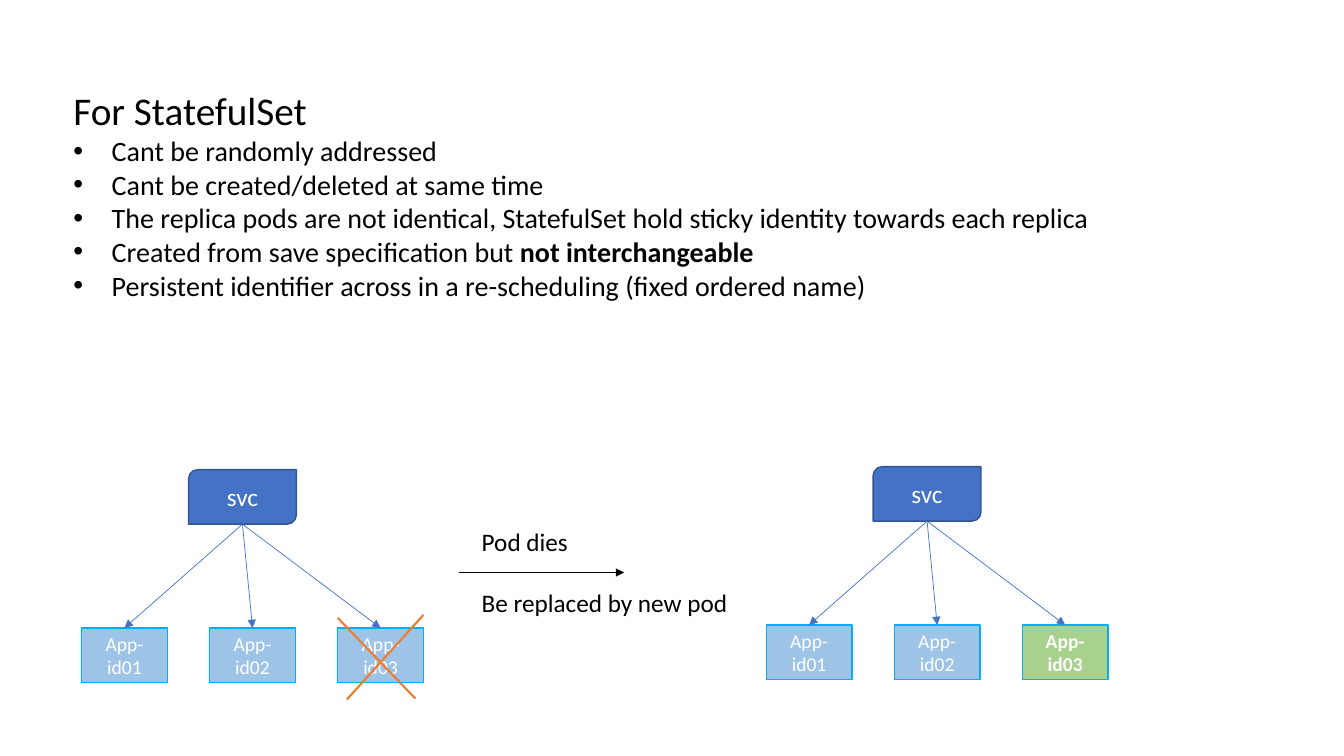
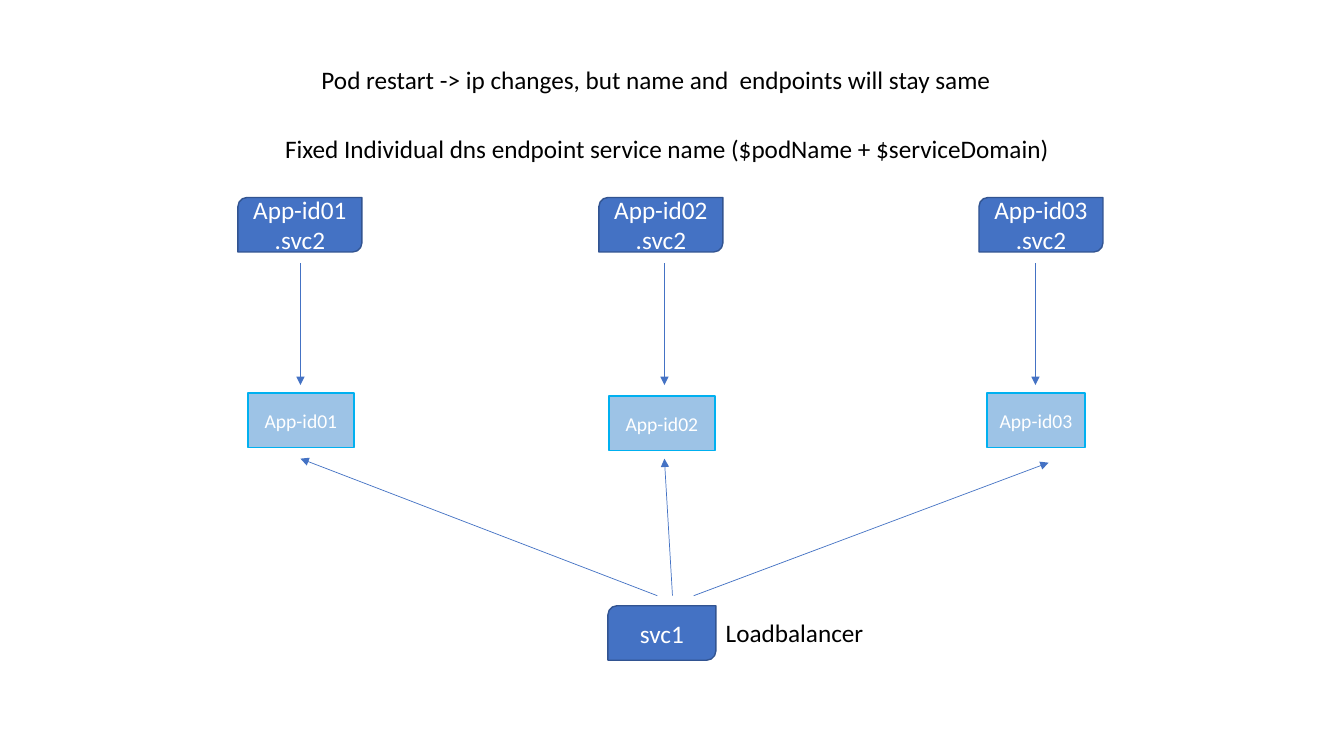
"""Build two slides on how StatefulSet pods keep their identity."""
from lxml.etree import SubElement
from pptx import Presentation
from pptx.dml.color import RGBColor
from pptx.enum.shapes import MSO_CONNECTOR as Connector, MSO_SHAPE as Shape
from pptx.enum.text import MSO_ANCHOR as Anchor, PP_ALIGN as Align
from pptx.oxml.ns import qn
from pptx.util import Inches, Pt

FONT = "Calibri"
BLACK = RGBColor(0x00, 0x00, 0x00)
WHITE = RGBColor(0xFF, 0xFF, 0xFF)
BLUE = RGBColor(0x44, 0x72, 0xC4)
DARK_BLUE = RGBColor(0x32, 0x54, 0x91)
LIGHT_BLUE = RGBColor(0x9D, 0xC3, 0xE6)
CYAN = RGBColor(0x00, 0xB0, 0xF0)
GREEN = RGBColor(0xA9, 0xD1, 0x8E)
ORANGE = RGBColor(0xED, 0x7D, 0x31)

BOX_HEIGHT = 0.54
SERVICE = dict(shape=Shape.ROUND_2_DIAG_RECTANGLE, fill=BLUE, outline=DARK_BLUE)
POD = dict(shape=Shape.RECTANGLE, fill=LIGHT_BLUE, outline=CYAN, size=14)


def add_text(page, text, left, top, width, height=BOX_HEIGHT, shape=None,
             fill=None, outline=None, size=18, bold=None, wrap=True):
    place = [Inches(value) for value in (left, top, width, height)]
    if shape is None:
        box = page.shapes.add_textbox(*place)
    else:
        box = page.shapes.add_shape(shape, *place)
        box.shadow.inherit = False
        box.fill.solid()
        box.fill.fore_color.rgb = fill
        box.line.color.rgb = outline
        box.line.width = Pt(1)
        box.text_frame.vertical_anchor = Anchor.MIDDLE
    box.text_frame.text = text
    box.text_frame.word_wrap = wrap
    for para in box.text_frame.paragraphs:
        para.alignment = Align.CENTER if shape else Align.LEFT
        para.font.name = FONT
        para.font.size = Pt(size)
        para.font.bold = bold
        para.font.color.rgb = WHITE if shape else BLACK
    return box


def add_line(page, start, end, color=BLUE, width=0.5, arrow=True):
    ends = [Inches(value) for value in (*start, *end)]
    line = page.shapes.add_connector(Connector.STRAIGHT, *ends)
    line.line.color.rgb = color
    line.line.width = Pt(width)
    if arrow:
        SubElement(line.line._get_or_add_ln(), qn("a:tailEnd"), type="triangle")
    SubElement(line._element.spPr, qn("a:effectLst"))


deck = Presentation()
deck.slide_width = Inches(13.33)
deck.slide_height = Inches(7.5)
blank = deck.slide_layouts[6]

page = deck.slides.add_slide(blank)
summary = add_text(page, "\n".join([
    "For StatefulSet",
    "Cant be randomly addressed",
    "Cant be created/deleted at same time",
    "The replica pods are not identical, StatefulSet hold sticky identity towards each replica",
    "Created from save specification but ",
    "Persistent identifier across in a re-scheduling (fixed ordered name)",
]), 0.63, 0.81, 11.19, 2.26, size=20)
heading, *bullets = summary.text_frame.paragraphs
heading.font.size = Pt(28)
for para in bullets:
    properties = para._p.get_or_add_pPr()
    properties.set("marL", str(Inches(0.38)))
    properties.set("indent", str(Inches(-0.38)))
    bullet_font = SubElement(properties, qn("a:buFont"), typeface="Arial")
    bullet = SubElement(properties, qn("a:buChar"), char="\u2022")
    properties.insert(0, bullet_font)
    properties.insert(1, bullet)
span = bullets[3].add_run()
span.text = "not interchangeable"
span.font.bold = True

pod_width, pod_step = 0.85, 1.27
service_width, service_offset = 1.07, 1.06
for left, top, last_pod in [(0.81, 4.66, {}),
                            (7.6, 4.63, dict(fill=GREEN, bold=True))]:
    pod_top = top + 1.57
    service_left = left + service_offset
    add_text(page, "svc", service_left, top, service_width, **SERVICE)
    for index in range(3):
        pod_left = left + index * pod_step
        style = {**POD, **(last_pod if index == 2 else {})}
        add_text(page, f"App-id0{index + 1}", pod_left, pod_top, pod_width, **style)
        add_line(page, (service_left + service_width / 2, top + BOX_HEIGHT),
                 (pod_left + pod_width / 2, pod_top))

for start, end in [((3.35, 6.13), (4.12, 6.93)), ((4.2, 6.1), (3.44, 6.94))]:
    add_line(page, start, end, color=ORANGE, width=1.5, arrow=False)
add_line(page, (4.55, 5.68), (6.19, 5.68), color=BLACK)
event = add_text(page, "Pod dies\nBe replaced by new pod", 4.68, 5.17, 2.67, 1.01, wrap=False)
event.text_frame.paragraphs[1].space_before = Pt(22)

page = deck.slides.add_slide(blank)
for text, left, top, width in [
    ("Pod restart -> ip changes, but name and  endpoints will stay same", 3.09, 0.59, 6.92),
    ("Fixed Individual dns endpoint service name ($podName + $serviceDomain)", 2.73, 1.27, 7.87),
    ("Loadbalancer", 7.1, 6.08, 1.64),
]:
    add_text(page, text, left, top, width, 0.4, wrap=False)

add_text(page, "svc1", 6.03, 6.01, service_width, **SERVICE)
columns = [
    (2.36, 2.98, (2.46, 3.9, 1.05), (6.52, 5.91), (2.98, 4.55)),
    (5.94, 6.59, (6.04, 3.93, 1.05), (6.67, 5.91), (6.59, 4.55)),
    (9.71, 10.27, (9.79, 3.9, 0.97), (6.88, 5.91), (10.4, 4.59)),
]
for number, (service_left, arrow_x, pod_place, start, end) in enumerate(columns, 1):
    name = f"App-id0{number}"
    add_text(page, f"{name}\n.svc2", service_left, 1.96, 1.23, **SERVICE)
    add_text(page, name, *pod_place, **POD)
    add_line(page, (arrow_x, 2.61), (arrow_x, 3.82))
    add_line(page, start, end)

deck.save("out.pptx")
